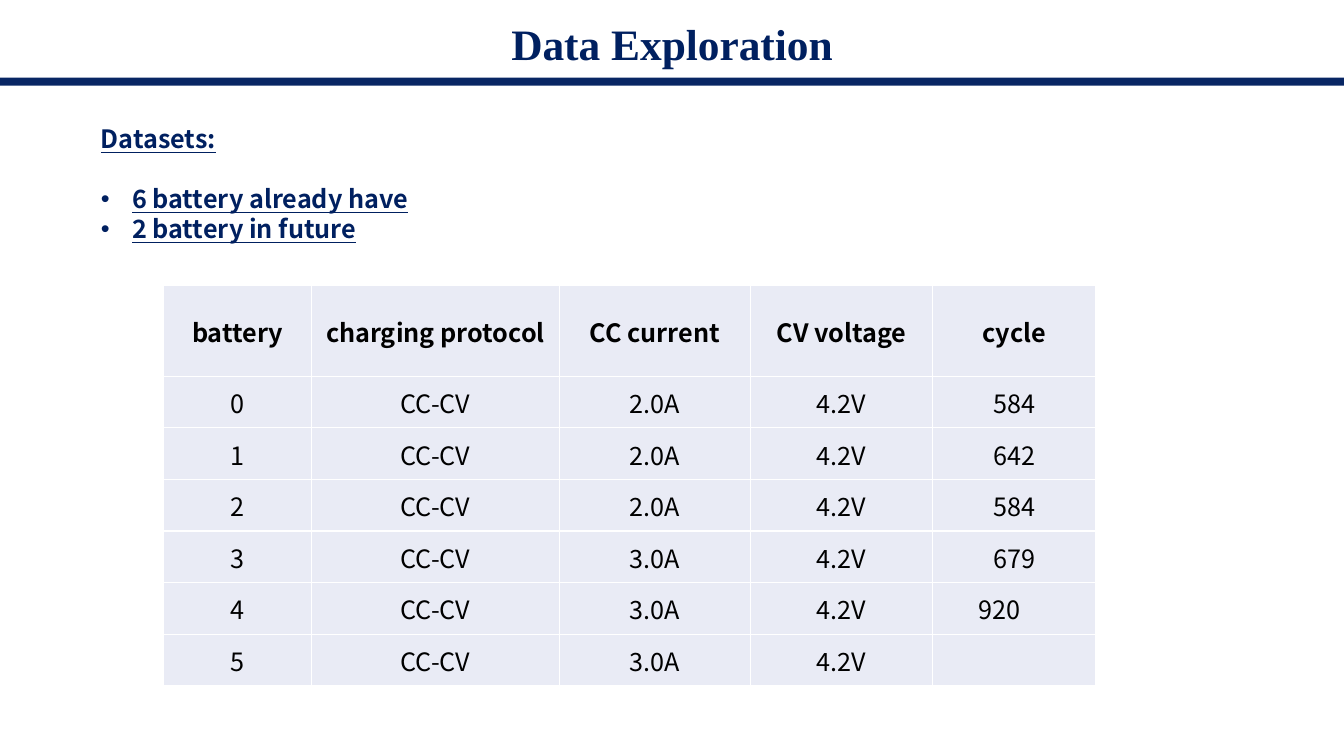
from dataclasses import dataclass

from lxml.etree import SubElement
from pptx import Presentation
from pptx.dml.color import RGBColor
from pptx.enum.shapes import MSO_SHAPE
from pptx.enum.text import MSO_ANCHOR, MSO_AUTO_SIZE, PP_ALIGN
from pptx.oxml.ns import qn
from pptx.util import Cm, Pt


@dataclass(frozen=True)
class Theme:
    """Colours, fonts and type sizes of the slide."""
    navy: str = "002060"
    black: str = "000000"
    white: str = "FFFFFF"
    cell: str = "E9EBF5"
    title_font: str = "Times New Roman"
    body_font: str = "Noto Sans CJK SC"
    title_size: float = 31
    body_size: float = 18
    line_pitch: float = 21.5


THEME = Theme()
DATASETS = ["6 battery already have", "2 battery in future"]
HEADERS = ["battery", "charging protocol", "CC current", "CV voltage", "cycle"]
CURRENTS = ["2.0A"] * 3 + ["3.0A"] * 3
CYCLES = ["584", "642", "584", "679", "920", ""]
COLUMN_WIDTHS = [3.73, 6.25, 4.82, 4.6, 4.11]
HEADER_HEIGHT = 2.28
OUTDENTED_CYCLE = "920"


def format_runs(paragraph, font_name, size, color, bold=False, underline=False):
    """Apply one text style to every run of a paragraph."""
    for run in paragraph.runs:
        font = run.font
        font.name, font.size = font_name, Pt(size)
        font.bold, font.underline = bold, underline
        font.color.rgb = RGBColor.from_string(color)


def add_bullet(paragraph, indent):
    """Give a paragraph a round bullet with a hanging indent."""
    properties = paragraph._p.get_or_add_pPr()
    properties.set("marL", str(indent))
    properties.set("indent", str(-indent))
    SubElement(properties, qn("a:buFont"), typeface="Arial")
    SubElement(properties, qn("a:buChar"), char="•")


def add_borders(cell, color, width):
    """Draw all four borders of a table cell."""
    properties = cell._tc.get_or_add_tcPr()
    for index, side in enumerate(("lnL", "lnR", "lnT", "lnB")):
        line = properties.makeelement(qn(f"a:{side}"), {"w": str(width)})
        fill = SubElement(line, qn("a:solidFill"))
        SubElement(fill, qn("a:srgbClr"), val=color)
        properties.insert(index, line)


def add_heading(slide, left, top, width, height):
    """Place the slide title above a full-width navy rule."""
    rule_height = Cm(0.2)
    title = slide.shapes.title
    title.left, title.top = left, top
    title.width, title.height = width, height
    frame = title.text_frame
    frame.text = "Data Exploration"
    frame.auto_size = MSO_AUTO_SIZE.NONE
    frame.vertical_anchor = MSO_ANCHOR.MIDDLE
    paragraph = frame.paragraphs[0]
    paragraph.alignment = PP_ALIGN.CENTER
    paragraph.line_spacing = 0.9
    format_runs(paragraph, THEME.title_font, THEME.title_size, THEME.navy, bold=True)

    rule = slide.shapes.add_shape(
        MSO_SHAPE.RECTANGLE, left, top + height, width, rule_height)
    rule.shadow.inherit = False
    rule.line.fill.background()
    rule.fill.solid()
    rule.fill.fore_color.rgb = RGBColor.from_string(THEME.navy)
    color = rule.fill._xPr.find(f".//{qn('a:srgbClr')}")
    SubElement(color, qn("a:alpha"), val="97000")


def add_dataset_list(slide, left, top, width, height):
    """Place the underlined dataset heading and its bullets."""
    frame = slide.shapes.add_textbox(left, top, width, height).text_frame
    frame.word_wrap = True
    frame.text = "\n".join(["Datasets:", *DATASETS])
    for index, paragraph in enumerate(frame.paragraphs):
        paragraph.line_spacing = Pt(THEME.line_pitch)
        if index == 1:
            paragraph.space_before = Pt(THEME.line_pitch)
        if index:
            add_bullet(paragraph, Cm(0.79))
        format_runs(paragraph, THEME.body_font, THEME.body_size, THEME.navy,
                    bold=True, underline=True)


def format_cell(cell, text, is_header):
    """Fill and format one table cell."""
    cell.fill.solid()
    cell.fill.fore_color.rgb = RGBColor.from_string(THEME.cell)
    add_borders(cell, THEME.white, Pt(1))
    cell.vertical_anchor = MSO_ANCHOR.MIDDLE
    cell.margin_left = cell.margin_top = Cm(0.03)
    cell.margin_right = Cm(0.8 if text == OUTDENTED_CYCLE else 0.03)
    cell.margin_bottom = 0
    cell.text_frame.text = text
    paragraph = cell.text_frame.paragraphs[0]
    paragraph.alignment = PP_ALIGN.CENTER
    format_runs(paragraph, THEME.body_font, THEME.body_size, THEME.black, bold=is_header)


def add_battery_table(slide, left, top, width, height):
    """Place the table of charging conditions per battery."""
    batteries = [[str(number), "CC-CV", current, "4.2V", cycle]
                 for number, (current, cycle) in enumerate(zip(CURRENTS, CYCLES))]
    rows = [HEADERS, *batteries]
    table = slide.shapes.add_table(
        len(rows), len(HEADERS), left, top, width, height).table
    for column, share in zip(table.columns, COLUMN_WIDTHS):
        column.width = int(width * share / sum(COLUMN_WIDTHS))
    header_height = Cm(HEADER_HEIGHT)
    for index, row in enumerate(table.rows):
        is_header = index == 0
        row.height = header_height if is_header else (height - header_height) // len(batteries)
        for cell, text in zip(row.cells, rows[index]):
            format_cell(cell, text, is_header)


def main():
    """Build and save the slide."""
    presentation = Presentation()
    presentation.slide_width, presentation.slide_height = Cm(33.87), Cm(19.05)
    slide = presentation.slides.add_slide(presentation.slide_layouts[5])
    add_heading(slide, 0, Cm(0.36), presentation.slide_width, Cm(1.6))
    add_dataset_list(slide, Cm(2.29), Cm(2.99), Cm(14.4), Cm(3.33))
    add_battery_table(slide, Cm(4.12), Cm(7.2), Cm(23.5), Cm(10.08))
    presentation.save("out.pptx")


if __name__ == "__main__":
    main()
